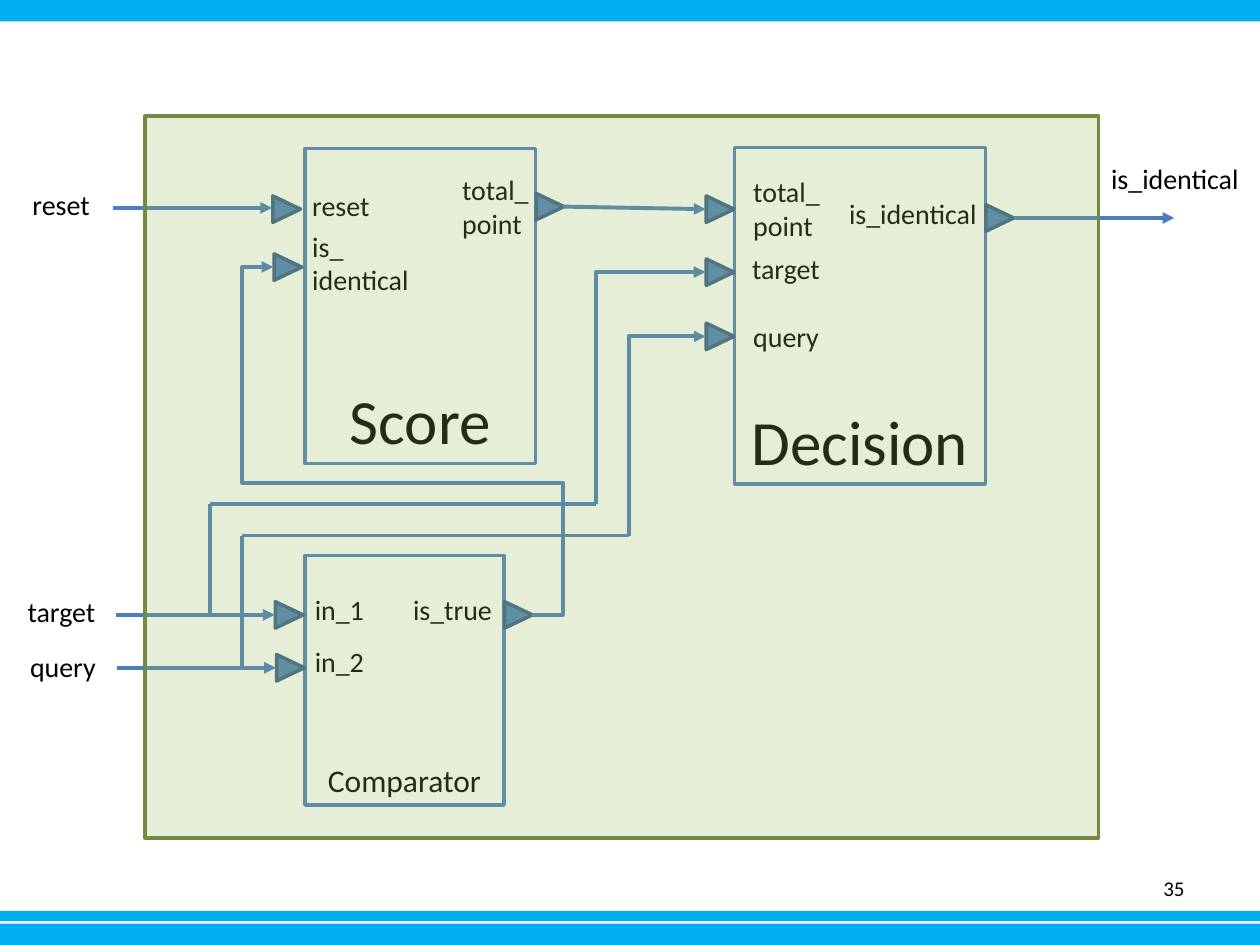
from lxml.etree import SubElement
from pptx import Presentation
from pptx.dml.color import RGBColor
from pptx.enum.shapes import MSO_CONNECTOR, MSO_SHAPE
from pptx.enum.text import MSO_ANCHOR, MSO_AUTO_SIZE, PP_ALIGN
from pptx.oxml.ns import qn
from pptx.util import Inches, Pt

COLS, ROWS = 100, 75  # grid cells across and down the slide
PORT_W, PORT_H = 2.1, 2.2
LINE_H = 3.7
TWO_LINES_H = 6.4


def rgb(code):
    return RGBColor.from_string(code)


class Diagram:
    font = "Calibri"
    text_color = "000000"
    bar = "00B0F0"
    block_fill, block_line = "FFFFFF", "4F81BD"
    port_fill, port_line = "4F81BD", "3A5F8C"
    wire_color = "4B7EBC"
    frame_fill, frame_line = "9BBB59", "738A42"

    def __init__(self, prs):
        self.slide = prs.slides.add_slide(prs.slide_layouts[6])
        self.col = prs.slide_width / COLS
        self.row = prs.slide_height / ROWS

    def point(self, x, y):
        return round(x * self.col), round(y * self.row)

    def shape(self, x, y, w, h, fill, line=None, kind=MSO_SHAPE.RECTANGLE):
        sp = self.slide.shapes.add_shape(kind, *self.point(x, y), *self.point(w, h))
        sp.shadow.inherit = False
        sp.fill.solid()
        sp.fill.fore_color.rgb = rgb(fill)
        if line:
            sp.line.color.rgb = rgb(line)
            sp.line.width = Pt(2)
        else:
            sp.line.fill.background()
        return sp

    def set_text(self, tf, text, size, align, anchor):
        tf.text = text
        tf.vertical_anchor = anchor
        for p in tf.paragraphs:
            p.alignment = align
            p.font.name = self.font
            p.font.size = Pt(size)
            p.font.color.rgb = rgb(self.text_color)

    def block(self, title, size, x, y, w, h):
        sp = self.shape(x, y, w, h, self.block_fill, self.block_line)
        self.set_text(sp.text_frame, title, size, PP_ALIGN.CENTER, MSO_ANCHOR.BOTTOM)

    def label(self, text, x, y, w):
        h = TWO_LINES_H if "\n" in text else LINE_H
        tf = self.slide.shapes.add_textbox(*self.point(x, y), *self.point(w, h)).text_frame
        tf.word_wrap = False
        tf.auto_size = MSO_AUTO_SIZE.SHAPE_TO_FIT_TEXT
        self.set_text(tf, text, 16, PP_ALIGN.LEFT, MSO_ANCHOR.TOP)

    def page_number(self, text, x, y, w, h):
        tf = self.slide.shapes.add_textbox(*self.point(x, y), *self.point(w, h)).text_frame
        tf.word_wrap = True
        self.set_text(tf, text, 12, PP_ALIGN.RIGHT, MSO_ANCHOR.MIDDLE)

    def port(self, x, y):
        sp = self.shape(x, y, PORT_W, PORT_H, self.port_fill, self.port_line,
                        MSO_SHAPE.ISOSCELES_TRIANGLE)
        sp.rotation = 90

    def wire(self, start, end, arrow="tailEnd", bend=None, adjust=()):
        """Draw a wire; arrow names the end with the arrowhead, bend a preset elbow."""
        kind = MSO_CONNECTOR.ELBOW if bend else MSO_CONNECTOR.STRAIGHT
        cxn = self.slide.shapes.add_connector(kind, *self.point(*start), *self.point(*end))
        cxn.line.color.rgb = rgb(self.wire_color)
        cxn.line.width = Pt(2.25)
        sp_pr = cxn._element.spPr
        if arrow:
            SubElement(sp_pr.find(qn("a:ln")), qn(f"a:{arrow}"), type="triangle")
        if bend:
            geom = sp_pr.find(qn("a:prstGeom"))
            geom.set("prst", bend)
            guides = geom.find(qn("a:avLst"))
            for i, share in enumerate(adjust, 1):
                SubElement(guides, qn("a:gd"), name=f"adj{i}", fmla=f"val {round(share * 100000)}")
        SubElement(sp_pr, qn("a:effectLst"))

    def frame(self, x, y, w, h, opacity):
        """Draw the see-through module outline that lies over its blocks."""
        sp = self.shape(x, y, w, h, self.frame_fill, self.frame_line)
        color = sp._element.spPr.find(qn("a:solidFill"))[0]
        SubElement(color, qn("a:alpha"), val=str(opacity * 1000))


BARS = [(73.3, 1.7), (72.3, 0.8), (0, 1.7)]

BLOCKS = [
    ("Score", 36, 24.2, 11.8, 18.3, 25),
    ("Decision", 36, 58.3, 11.7, 19.9, 26.7),
    ("Comparator", 18, 24.2, 44.1, 15.8, 19.8),
]

BLOCK_LABELS = [
    ("reset", 23.8, 14.5, 6.6),
    ("is_\nidentical", 23.8, 17.7, 9.7),
    ("total_\npoint", 35.7, 13.2, 7.4),
    ("total_\npoint", 58.8, 13.4, 7.4),
    ("target", 58.7, 19.5, 7.5),
    ("query", 58.8, 24.9, 7.3),
    ("is_identical", 66.4, 15.1, 12.3),
    ("in_1", 24, 46.5, 6),
    ("in_2", 24, 50.7, 6),
    ("is_true", 31.8, 46.5, 8.4),
]

PORTS = [
    (42.6, 15.3), (21.7, 15.5), (21.8, 20.1),
    (78.3, 16.2), (56.1, 15.5), (56.1, 20.5), (56.1, 25.6),
    (21.9, 47.7), (22, 51.9), (40.1, 47.7),
]

ARROWS = [
    ((44.7, 16.4), (56, 16.6)),
    ((9, 16.5), (21.6, 16.5)),
    ((9.2, 48.8), (21.8, 48.8)),
    ((9.3, 53), (21.9, 53)),
    ((80.5, 17.3), (93.2, 17.3)),
]

# Branches from an input to Decision: tap x, input y, level y, riser x, port y
BRANCHES = [(16.7, 48.8, 40, 47.3, 21.6), (19.2, 53, 42.5, 49.9, 26.7)]

SIGNALS = [
    ("reset", 1.6, 14.4, 6.6),
    ("target", 1.2, 46.7, 7.5),
    ("query", 1.4, 51.1, 7.3),
    ("is_identical", 87.2, 12.3, 12.3),
]


def main():
    prs = Presentation()
    prs.slide_width, prs.slide_height = Inches(10), Inches(7.5)
    d = Diagram(prs)
    for y, h in BARS:
        d.shape(0, y, COLS, h, d.bar)
    d.page_number("35", 71.7, 68.5, 23.3, 4)
    for block in BLOCKS:
        d.block(*block)
    for label in BLOCK_LABELS:
        d.label(*label)
    for port in PORTS:
        d.port(*port)
    for start, end in ARROWS:
        d.wire(start, end)
    d.wire((42.2, 48.8), (21.7, 21.2), bend="bentConnector5", adjust=(-0.12, 0.38, 1.12))
    for tap, source, level, riser, target in BRANCHES:
        d.wire((tap, source), (tap, level), arrow=None)
        d.wire((riser, level), (tap, level), arrow=None)
        d.wire((56, target), (riser, level), arrow="headEnd", bend="bentConnector2")
    for signal in SIGNALS:
        d.label(*signal)
    d.frame(11.5, 9.2, 75.7, 57.3, 24)
    prs.save("out.pptx")


if __name__ == "__main__":
    main()
